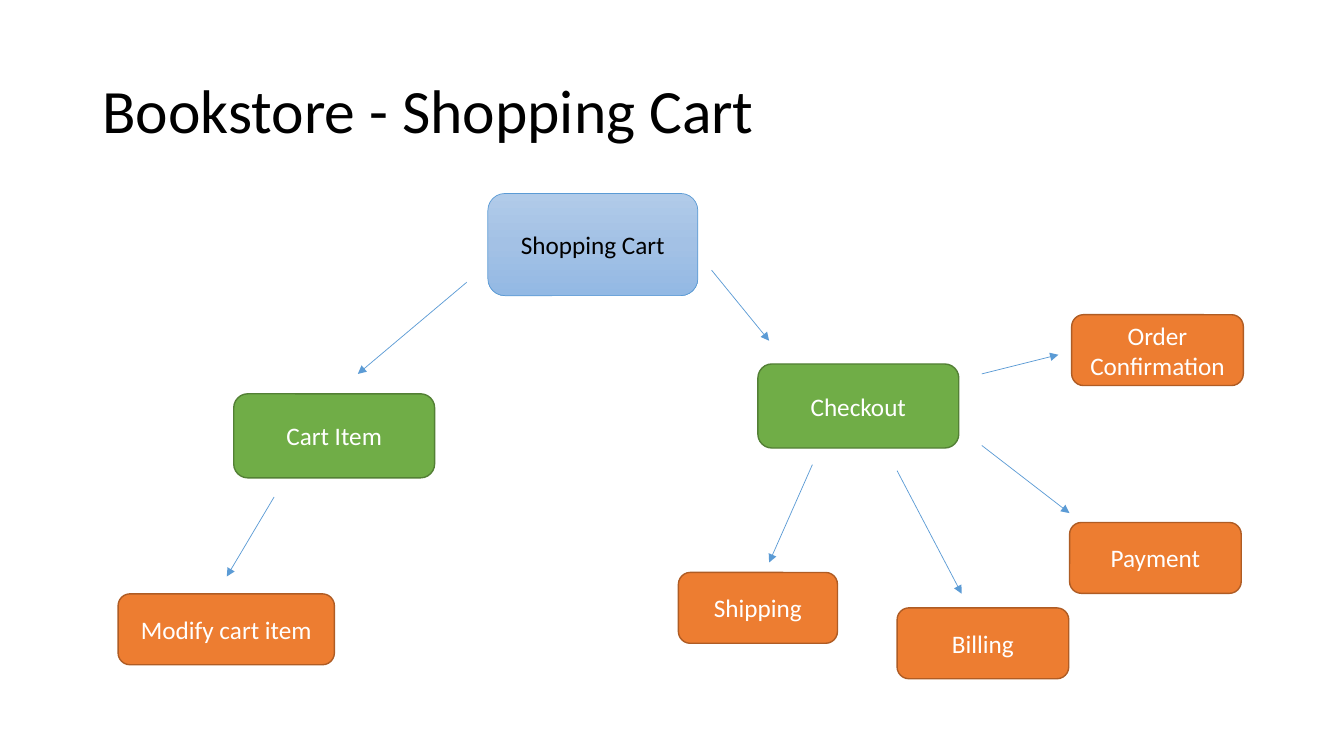
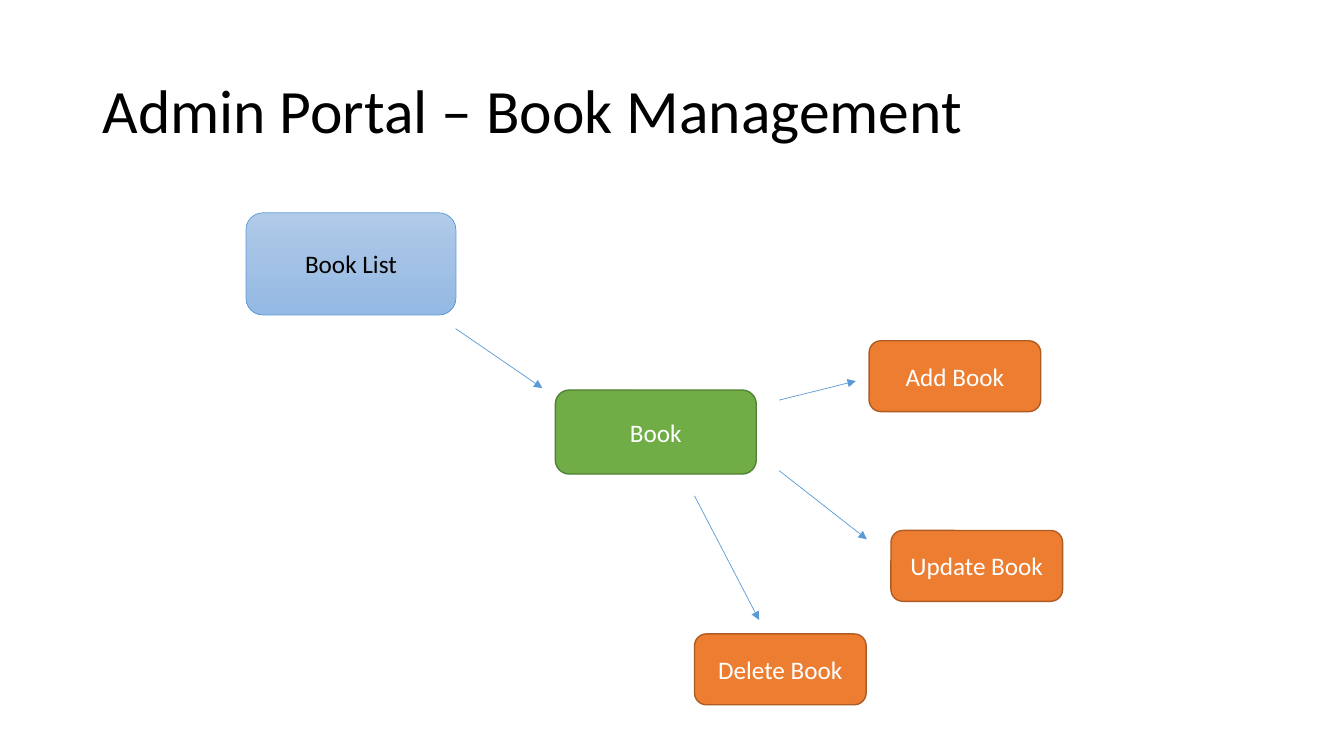
from copy import deepcopy

from pptx import Presentation
from pptx.dml.color import RGBColor
from pptx.enum.shapes import MSO_CONNECTOR, MSO_SHAPE
from pptx.enum.text import MSO_ANCHOR, MSO_AUTO_SIZE, PP_ALIGN
from pptx.oxml.ns import qn
from pptx.util import Pt
from lxml import etree

ROUNDED, STRAIGHT = MSO_SHAPE.ROUNDED_RECTANGLE, MSO_CONNECTOR.STRAIGHT
LEFT, CENTER, MIDDLE = PP_ALIGN.LEFT, PP_ALIGN.CENTER, MSO_ANCHOR.MIDDLE
NO_AUTOFIT = MSO_AUTO_SIZE.NONE

# Shared style
FONT = "Calibri"
BLACK, WHITE, BLUE = "000000", "FFFFFF", "5B9BD5"
TITLE_BOX = (66, 28.75, 828, 104.4)
TITLE_SIZE, NODE_SIZE = 44, 18
ARROW_WIDTH = 0.5

# Level: width, height, fill colours from top to bottom, outline, outline width, text
LEVELS = {
    "page": (150, 73, ("B1CBE9", "A3C1E5", "93B9E4"), BLUE, 0.5, BLACK),
    "section": (143.5, 60, ("70AD47",), "538035", 1, WHITE),
    "action": (122.6, 50.6, ("ED7D31",), "AF5C24", 1, WHITE),
}

# Node: text, level, left, top and, where it differs from the level, width
# Arrow: start x, start y, end x, end y
SLIDES = [
    {
        "title": "Bookstore - Shopping Cart",
        "nodes": [
            ("Shopping Cart", "page", 348.5, 138.2),
            ("Cart Item", "section", 167, 281.3),
            ("Checkout", "section", 541.4, 260),
            ("Modify cart item", "action", 84.4, 424.2, 154.5),
            ("Shipping", "action", 484.6, 408.9, 113.6),
            ("Billing", "action", 640.8, 434.2),
            ("Payment", "action", 764, 373.2),
            ("Order Confirmation", "action", 765.5, 224.8),
        ],
        "arrows": [
            (333.4, 201.6, 255.6, 267.1),
            (508.3, 193, 549.4, 243.4),
            (195.8, 355, 162, 411.8),
            (580.3, 331.9, 549.4, 401.8),
            (640.8, 336.2, 686.9, 424.1),
            (701.3, 318.2, 763.9, 366.5),
            (701.3, 267.1, 756, 253.4),
        ],
    },
    {
        "title": "Admin Portal – Book Management",
        "nodes": [
            ("Book List", "page", 175.7, 152),
            ("Book", "section", 396.7, 278.6),
            ("Add Book", "action", 620.8, 243.4),
            ("Update Book", "action", 636.4, 378.9),
            ("Delete Book", "action", 496.1, 452.8),
        ],
        "arrows": [
            (325.4, 234.7, 387.4, 277.2),
            (556.6, 285.8, 611.3, 272.2),
            (556.6, 336.2, 619.2, 385.2),
            (496.1, 354.2, 542.2, 442.8),
        ],
    },
]


def rgb(color):
    return RGBColor.from_string(color)


def write(frame, text, size, color, align):
    frame.word_wrap = True
    frame.auto_size = NO_AUTOFIT
    frame.vertical_anchor = MIDDLE
    paragraph = frame.paragraphs[0]
    paragraph.alignment = align
    run = paragraph.add_run()
    run.text = text
    run.font.name, run.font.size = FONT, Pt(size)
    run.font.color.rgb = rgb(color)
    return paragraph


def paint(node, colors):
    if len(colors) == 1:
        node.fill.solid()
        node.fill.fore_color.rgb = rgb(colors[0])
        return
    node.fill.gradient()
    node.fill.gradient_angle = 270
    # The default gradient has two stops; add those in between
    stops = node.fill._xPr.find(qn("a:gradFill")).find(qn("a:gsLst"))
    while len(stops) < len(colors):
        stops.insert(1, deepcopy(stops[0]))
    for i, stop in enumerate(node.fill.gradient_stops):
        stop.position = i / (len(colors) - 1)
        stop.color.rgb = rgb(colors[i])


def add_title(slide, text):
    title = slide.shapes.title
    title.left, title.top, title.width, title.height = map(Pt, TITLE_BOX)
    write(title.text_frame, text, TITLE_SIZE, BLACK, LEFT).line_spacing = 0.9


def add_node(slide, text, level, left, top, own_width=None):
    width, height, colors, outline, outline_width, text_color = LEVELS[level]
    box = map(Pt, (left, top, own_width or width, height))
    node = slide.shapes.add_shape(ROUNDED, *box)
    node.shadow.inherit = False
    paint(node, colors)
    node.line.color.rgb = rgb(outline)
    node.line.width = Pt(outline_width)
    write(node.text_frame, text, NODE_SIZE, text_color, CENTER)


def add_arrow(slide, *ends):
    arrow = slide.shapes.add_connector(STRAIGHT, *map(Pt, ends))
    arrow.line.color.rgb = rgb(BLUE)
    arrow.line.width = Pt(ARROW_WIDTH)
    # Arrowhead at the end, no shadow
    properties = arrow._element.spPr
    etree.SubElement(properties.find(qn("a:ln")), qn("a:tailEnd"), type="triangle")
    etree.SubElement(properties, qn("a:effectLst"))


# Build the slides
deck = Presentation()
deck.slide_width, deck.slide_height = Pt(960), Pt(540)
title_only = deck.slide_layouts.get_by_name("Title Only")
for content in SLIDES:
    slide = deck.slides.add_slide(title_only)
    add_title(slide, content["title"])
    for node in content["nodes"]:
        add_node(slide, *node)
    for arrow in content["arrows"]:
        add_arrow(slide, *arrow)
deck.save("out.pptx")
